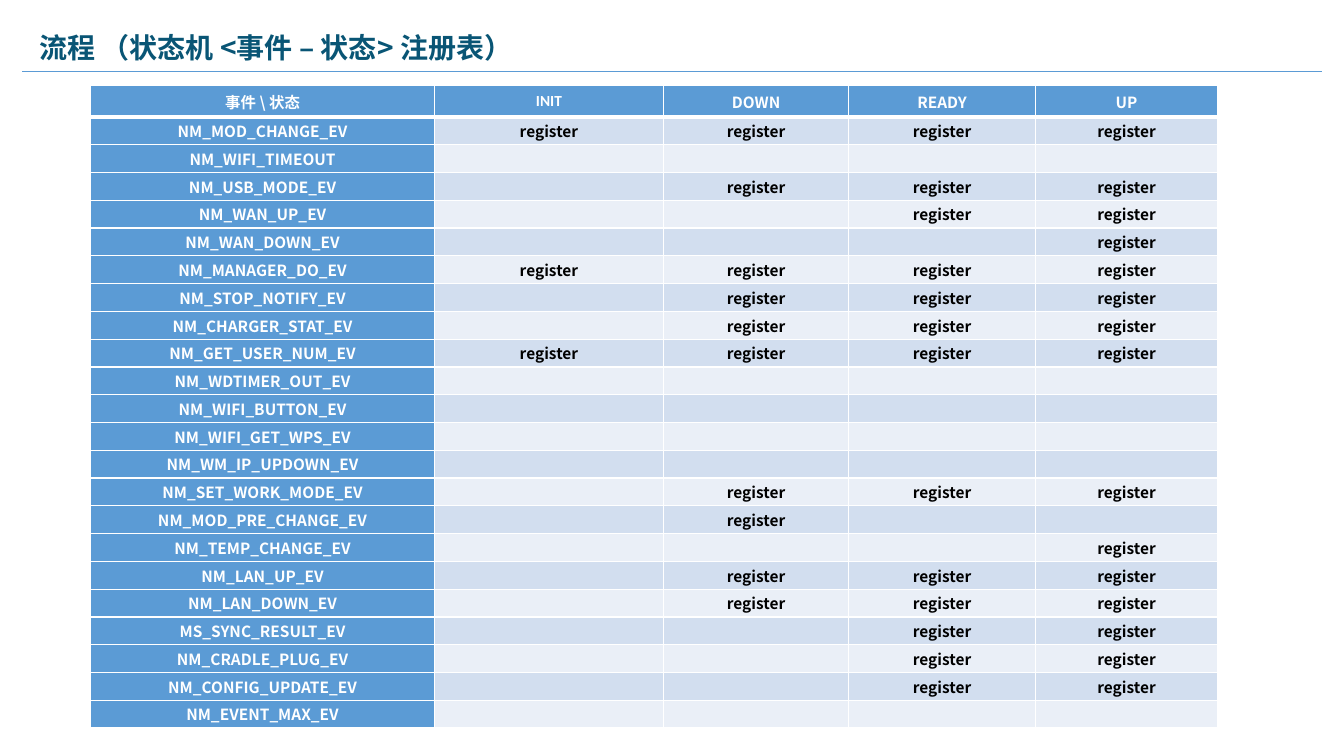
from lxml.etree import SubElement
from pptx import Presentation
from pptx.dml.color import RGBColor
from pptx.enum.shapes import MSO_CONNECTOR as Connector
from pptx.enum.text import MSO_ANCHOR as Anchor, PP_ALIGN as Align
from pptx.oxml.ns import qn
from pptx.util import Inches, Pt

BLUE, TEAL, WHITE, BLACK = "5B9BD5", "095575", "FFFFFF", "000000"
BANDS = ("D2DEEF", "EAEFF7")
CJK_FONT, LATIN_FONT = "Noto Sans CJK SC", "Calibri"
STATES = ["INIT", "DOWN", "READY", "UP"]
COLUMN_WIDTHS = [3.41, 2.27, 1.84, 1.85, 1.81]
HEADER_HEIGHT, TABLE_HEIGHT = 0.31, 6.38
REGISTRATIONS = {
    "NM_MOD_CHANGE_EV": STATES,
    "NM_WIFI_TIMEOUT": [],
    "NM_USB_MODE_EV": STATES[1:],
    "NM_WAN_UP_EV": STATES[2:],
    "NM_WAN_DOWN_EV": STATES[3:],
    "NM_MANAGER_DO_EV": STATES,
    "NM_STOP_NOTIFY_EV": STATES[1:],
    "NM_CHARGER_STAT_EV": STATES[1:],
    "NM_GET_USER_NUM_EV": STATES,
    "NM_WDTIMER_OUT_EV": [],
    "NM_WIFI_BUTTON_EV": [],
    "NM_WIFI_GET_WPS_EV": [],
    "NM_WM_IP_UPDOWN_EV": [],
    "NM_SET_WORK_MODE_EV": STATES[1:],
    "NM_MOD_PRE_CHANGE_EV": ["DOWN"],
    "NM_TEMP_CHANGE_EV": ["UP"],
    "NM_LAN_UP_EV": STATES[1:],
    "NM_LAN_DOWN_EV": STATES[1:],
    "MS_SYNC_RESULT_EV": STATES[2:],
    "NM_CRADLE_PLUG_EV": STATES[2:],
    "NM_CONFIG_UPDATE_EV": STATES[2:],
    "NM_EVENT_MAX_EV": [],
}


def rgb(value):
    return RGBColor.from_string(value)


def apply_format(target, values):
    for name, value in values.items():
        setattr(target, name, value)


class SlideBuilder:
    cell_format = {
        "margin_left": Inches(0.05), "margin_right": Inches(0.05),
        "margin_top": 0, "margin_bottom": 0, "vertical_anchor": Anchor.MIDDLE,
    }
    title_format = {"word_wrap": True, "vertical_anchor": Anchor.MIDDLE}

    def __init__(self, slide):
        self.slide = slide

    def add_text(self, paragraph, text, size, color, font=CJK_FONT):
        run = paragraph.add_run()
        run.text = text
        apply_format(run.font, {"size": Pt(size), "bold": True, "name": font})
        run.font.color.rgb = rgb(color)
        SubElement(run.font._element, qn("a:ea"), typeface=CJK_FONT)

    def add_title(self, text, left, top, width, height):
        box = self.slide.shapes.add_textbox(*map(Inches, (left, top, width, height)))
        apply_format(box.text_frame, self.title_format)
        self.add_text(box.text_frame.paragraphs[0], text, 20, TEAL)

    def add_rule(self, left, right, y):
        rule = self.slide.shapes.add_connector(
            Connector.STRAIGHT, *map(Inches, (left, y, right, y)))
        rule.line.color.rgb = rgb(BLUE)
        rule.line.width = Pt(1.25)
        SubElement(rule._element.spPr, qn("a:effectLst"))

    def add_borders(self, cell, widths):
        properties = cell._tc.get_or_add_tcPr()
        for side, width in zip("LRTB", widths):
            edge = SubElement(properties, qn(f"a:ln{side}"), w=str(Pt(width)))
            fill = SubElement(edge, qn("a:solidFill"))
            SubElement(fill, qn("a:srgbClr"), val=WHITE)

    def fill_cell(self, cell, text, fill, color, font, widths):
        apply_format(cell, self.cell_format)
        self.add_borders(cell, widths)
        cell.fill.solid()
        cell.fill.fore_color.rgb = rgb(fill)
        paragraph = cell.text_frame.paragraphs[0]
        paragraph.alignment = Align.CENTER
        if text:
            self.add_text(paragraph, text, 11, color, font)
        else:
            SubElement(paragraph._p, qn("a:endParaRPr"), sz="1100")

    def add_register_table(self, rows, left, top):
        frame = self.slide.shapes.add_table(
            len(rows), len(COLUMN_WIDTHS), Inches(left), Inches(top),
            Inches(sum(COLUMN_WIDTHS)), Inches(TABLE_HEIGHT))
        table = frame.table
        for column, width in zip(table.columns, COLUMN_WIDTHS):
            column.width = Inches(width)
        event_height = (TABLE_HEIGHT - HEADER_HEIGHT) / (len(rows) - 1)
        for r, row in enumerate(rows):
            table.rows[r].height = Inches(event_height if r else HEADER_HEIGHT)
            widths = (1, 1, 3 if r == 1 else 1, 1 if r else 3)
            for c, text in enumerate(row):
                heading = r == 0 or c == 0
                self.fill_cell(table.cell(r, c), text,
                               BLUE if heading else BANDS[(r - 1) % 2],
                               WHITE if heading else BLACK,
                               LATIN_FONT if text == "INIT" else CJK_FONT, widths)


def main():
    presentation = Presentation()
    presentation.slide_width = Inches(13.33)
    presentation.slide_height = Inches(7.5)
    builder = SlideBuilder(presentation.slides.add_slide(presentation.slide_layouts[6]))
    builder.add_rule(0.22, 13.11, 0.71)
    builder.add_title("流程 （状态机 <事件 – 状态> 注册表）", 0.29, 0.25, 11, 0.44)
    header = ["事件 \\ 状态", *STATES]
    events = [[event, *("register" if state in registered else "" for state in STATES)]
              for event, registered in REGISTRATIONS.items()]
    builder.add_register_table([header, *events], 0.9, 0.85)
    presentation.save("out.pptx")


if __name__ == "__main__":
    main()
